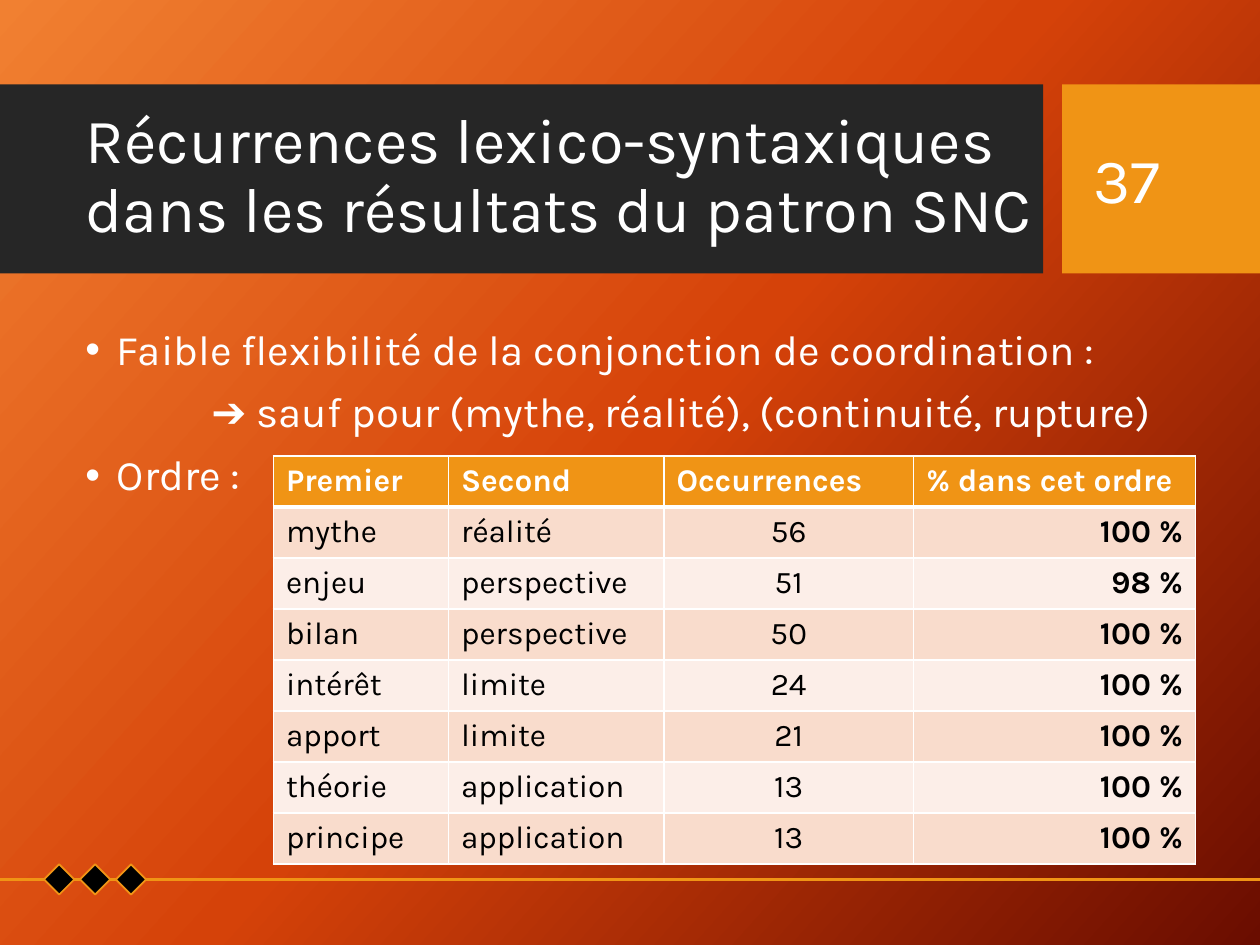
"""Build the slide on lexico-syntactic recurrences of the SNC pattern."""
from copy import deepcopy

from lxml.etree import SubElement
from pptx import Presentation
from pptx.dml.color import RGBColor
from pptx.enum.shapes import MSO_CONNECTOR, MSO_SHAPE as SHAPE
from pptx.enum.text import MSO_ANCHOR as ANCHOR, MSO_AUTO_SIZE, PP_ALIGN as ALIGN
from pptx.oxml.ns import qn
from pptx.util import Inches, Pt

FONT = "Karla"
WHITE, BLACK, CHARCOAL, AMBER = "FFFFFF", "000000", "262626", "F09415"
BAND_FILLS = ("F9DCCC", "FCEEE8")
GRADIENT = [(0, "F18031"), (0.5, "D54209"), (1, "6A0D00")]
GRADIENT_ANGLE = 42

TITLE = "Récurrences lexico-syntaxiques dans les résultats du patron SNC"
PAGE_NUMBER = "37"
POINTS = [
    ("Faible flexibilité de la conjonction de coordination :", True),
    ("➔ sauf pour (mythe, réalité), (continuité, rupture)", False),
    ("Ordre :", True),
]
HEADERS = ["Premier", "Second", "Occurrences", "% dans cet ordre"]
PAIRS = [
    ("mythe", "réalité", "56", "100 %"),
    ("enjeu", "perspective", "51", "98 %"),
    ("bilan", "perspective", "50", "100 %"),
    ("intérêt", "limite", "24", "100 %"),
    ("apport", "limite", "21", "100 %"),
    ("théorie", "application", "13", "100 %"),
    ("principe", "application", "13", "100 %"),
]
COLUMN_WIDTHS = [1.39, 1.71, 1.98, 2.24]
COLUMN_ALIGNS = [ALIGN.LEFT, ALIGN.LEFT, ALIGN.CENTER, ALIGN.RIGHT]
TABLE_LEFT, TABLE_TOP, TABLE_HEIGHT = 2.17, 3.62, 3.24
RULE_Y, DIAMOND_SIZE, DIAMOND_LEFT, DIAMOND_STEP = 6.98, 0.24, 0.35, 0.285


def rgb(color):
    return RGBColor.from_string(color)


def paint_background(page):
    fill = page.background.fill
    fill.gradient()
    fill.gradient_angle = 360 - GRADIENT_ANGLE
    first = page.element.find(".//" + qn("a:gs"))
    first.addnext(deepcopy(first))
    for stop, (position, color) in zip(fill.gradient_stops, GRADIENT):
        stop.position = position
        stop.color.rgb = rgb(color)


def add_block(page, kind, left, top, width, height, color, line=None):
    block = page.shapes.add_shape(kind, *map(Inches, (left, top, width, height)))
    block.shadow.inherit = False
    block.fill.solid()
    block.fill.fore_color.rgb = rgb(color)
    if line:
        block.line.color.rgb = rgb(line)
        block.line.width = Pt(1)
    else:
        block.line.fill.background()
    return block


def style(paragraph, size, color=WHITE, bold=False):
    for span in paragraph.runs:
        span.font.name = FONT
        span.font.size = Pt(size)
        span.font.bold = bold
        span.font.color.rgb = rgb(color)


def place_text(box, left, top, width, height, anchor):
    box.left, box.top, box.width, box.height = map(Inches, (left, top, width, height))
    frame = box.text_frame
    frame.word_wrap = True
    frame.auto_size = MSO_AUTO_SIZE.NONE
    frame.vertical_anchor = anchor
    return frame


def add_text_box(page, *place):
    return place_text(page.shapes.add_textbox(0, 0, 0, 0), *place)


def add_heading(page):
    band = add_block(page, SHAPE.RECTANGLE, 0, 0.67, 8.28, 1.5, CHARCOAL)
    add_block(page, SHAPE.RECTANGLE, 8.43, 0.67, 1.57, 1.5, AMBER)
    title = page.shapes.title
    title.element.addprevious(band.element)
    heading = place_text(title, 0.58, 0.82, 7.8, 1.18, ANCHOR.MIDDLE)
    number = add_text_box(page, 8.58, 0.82, 1.27, 1.19, ANCHOR.MIDDLE)
    for frame, text in ((heading, TITLE), (number, PAGE_NUMBER)):
        frame.text = text
        frame.paragraphs[0].alignment = ALIGN.LEFT
        style(frame.paragraphs[0], 36)
    heading.paragraphs[0].line_spacing = 0.9


def add_points(page):
    frame = add_text_box(page, 0.58, 2.56, 9.42, 4.42, ANCHOR.TOP)
    frame.text = "\n".join(text for text, _ in POINTS)
    for index, (paragraph, (_, bulleted)) in enumerate(zip(frame.paragraphs, POINTS)):
        properties = paragraph._p.get_or_add_pPr()
        properties.set("marL", str(Inches(0.25 if bulleted else 1)))
        properties.set("indent", str(Inches(-0.25 if bulleted else 0)))
        if bulleted:
            SubElement(properties, qn("a:buFont"), typeface="Arial")
            SubElement(properties, qn("a:buChar"), char="•")
        else:
            SubElement(properties, qn("a:buNone"))
        paragraph.line_spacing = 0.9
        if index:
            paragraph.space_before = Pt(10)
        style(paragraph, 24)


def add_ornament(page):
    rule = page.shapes.add_connector(
        MSO_CONNECTOR.STRAIGHT, 0, Inches(RULE_Y), Inches(10), Inches(RULE_Y))
    rule.line.color.rgb = rgb(AMBER)
    rule.line.width = Pt(1.5)
    SubElement(rule.element.spPr, qn("a:effectLst"))
    for index in range(3):
        add_block(page, SHAPE.DIAMOND, DIAMOND_LEFT + index * DIAMOND_STEP,
                  RULE_Y - DIAMOND_SIZE / 2, DIAMOND_SIZE, DIAMOND_SIZE, BLACK, AMBER)


def set_borders(cell, top, bottom):
    properties = cell._tc.get_or_add_tcPr()
    for side, width in (("L", 1), ("R", 1), ("T", top), ("B", bottom)):
        line = SubElement(properties, qn("a:ln" + side), w=str(Pt(width)))
        SubElement(SubElement(line, qn("a:solidFill")), qn("a:srgbClr"), val=WHITE)


def add_pairs_table(page):
    rows = [HEADERS, *PAIRS]
    table = page.shapes.add_table(
        len(rows), len(HEADERS), Inches(TABLE_LEFT), Inches(TABLE_TOP),
        Inches(sum(COLUMN_WIDTHS)), Inches(TABLE_HEIGHT)).table
    for column, width in zip(table.columns, COLUMN_WIDTHS):
        column.width = Inches(width)
    for r, row in enumerate(rows):
        table.rows[r].height = Inches(TABLE_HEIGHT / len(rows))
        header = r == 0
        for c, text in enumerate(row):
            cell = table.cell(r, c)
            set_borders(cell, 3 if r == 1 else 1, 3 if header else 1)
            cell.fill.solid()
            cell.fill.fore_color.rgb = rgb(AMBER if header else BAND_FILLS[(r - 1) % 2])
            cell.text_frame.text = text
            paragraph = cell.text_frame.paragraphs[0]
            paragraph.alignment = ALIGN.LEFT if header else COLUMN_ALIGNS[c]
            last = c == len(HEADERS) - 1
            style(paragraph, 18, WHITE if header else BLACK, header or last)


def main():
    deck = Presentation()
    deck.slide_width, deck.slide_height = Inches(10), Inches(7.5)
    page = deck.slides.add_slide(deck.slide_layouts[5])
    paint_background(page)
    add_heading(page)
    add_points(page)
    add_ornament(page)
    add_pairs_table(page)
    deck.save("out.pptx")


if __name__ == "__main__":
    main()
